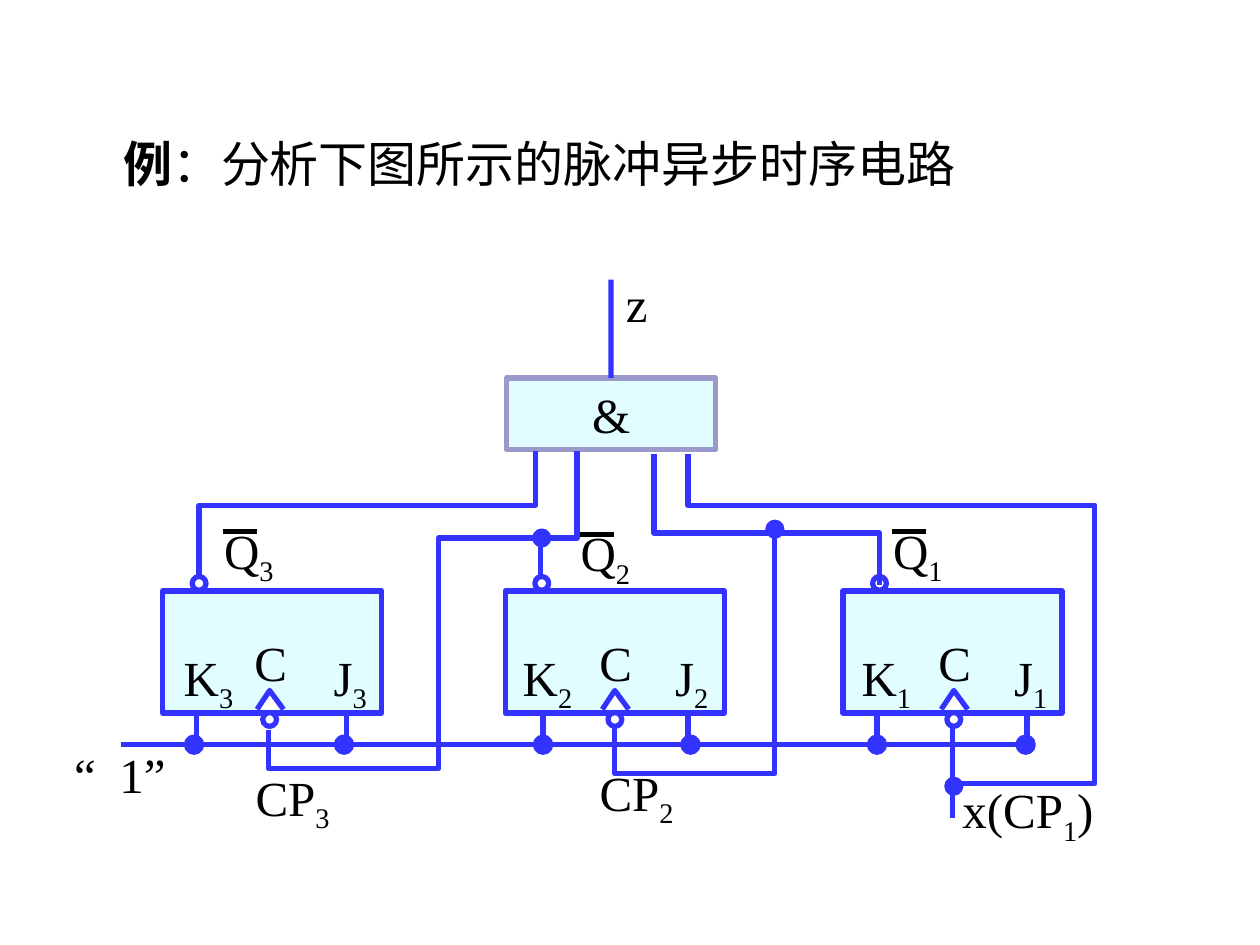
from dataclasses import dataclass

from lxml import etree
from pptx import Presentation
from pptx.dml.color import RGBColor
from pptx.enum import shapes, text
from pptx.oxml.ns import qn
from pptx.util import Inches, Pt


@dataclass(frozen=True)
class Theme:
    """Colours, type and line sizes of the slide."""
    wire: RGBColor = RGBColor(0x33, 0x33, 0xFF)
    block: RGBColor = RGBColor(0xE1, 0xFD, 0xFF)
    gate_edge: RGBColor = RGBColor(0x99, 0x99, 0xCC)
    ink: RGBColor = RGBColor(0, 0, 0)
    paper: RGBColor = RGBColor(0xFF, 0xFF, 0xFF)
    font: str = "Times New Roman"
    size: Pt = Pt(28)
    line: Pt = Pt(3)


@dataclass(frozen=True)
class FlipFlop:
    """Positions in inches that set one flip-flop apart from the others."""
    number: str
    left: float
    clock: float
    k_text: float
    k_pin: float
    j_pin: float
    k_dot: float
    j_dot: float
    q_text: float
    q_top: float


THEME = Theme()
BLOCK_TOP, BLOCK_WIDTH, BLOCK_HEIGHT = 4.69, 1.74, 0.97
BLOCK_BOTTOM = BLOCK_TOP + BLOCK_HEIGHT
RAIL = 5.91
BUBBLE = 0.11
FLIP_FLOPS = (
    FlipFlop("3", 1.29, 2.14, 1.36, 1.56, 2.75, 1.54, 2.73, 1.68, 4.08),
    FlipFlop("2", 4.01, 4.88, 4.05, 4.31, 5.46, 4.31, 5.48, 4.51, 4.10),
    FlipFlop("1", 6.69, 7.57, 6.74, 6.96, 8.15, 6.96, 8.14, 6.99, 4.08),
)
WIRES = (
    [(2.13, 5.79), (2.13, 6.1), (3.48, 6.1), (3.48, 4.27), (4.58, 4.27), (4.58, 3.58)],
    [(4.88, 5.78), (4.88, 6.14), (6.15, 6.14), (6.15, 4.14)],
    [(1.58, 4.58), (1.58, 4.01), (4.25, 4.01), (4.25, 3.58)],
    [(5.46, 3.6), (5.46, 4.01), (8.69, 4.01), (8.69, 6.22), (7.57, 6.22)],
    [(6.98, 4.64), (6.98, 4.23), (5.19, 4.23), (5.19, 3.6)],
)
JUNCTIONS = ((4.3, 4.27), (6.15, 4.2), (7.57, 6.24))


def style_font(font):
    """Give a font the face, size and colour of the slide."""
    font.name, font.size = THEME.font, THEME.size
    font.color.rgb = THEME.ink


def add_label(page, left, top, width, height, *parts, wrap=False, tab=None):
    """Add a text box from (text, style) parts."""
    box = page.shapes.add_textbox(*map(Inches, (left, top, width, height)))
    frame = box.text_frame
    frame.word_wrap = wrap
    frame.auto_size = text.MSO_AUTO_SIZE.SHAPE_TO_FIT_TEXT
    para = frame.paragraphs[0]
    if tab:
        stops = etree.SubElement(para._p.get_or_add_pPr(), qn("a:tabLst"))
        etree.SubElement(stops, qn("a:tab"), pos=str(Inches(tab)), algn="l")
    style_font(para.font)
    for wording, style in parts:
        span = para.add_run()
        span.text = wording
        if style == "sub":
            span._r.get_or_add_rPr().set("baseline", "-25000")
        elif style == "bold":
            span.font.bold = True


def add_shape(page, preset, left, top, width, height, fill, edge):
    """Add a filled and outlined preset shape."""
    shape = page.shapes.add_shape(preset, *map(Inches, (left, top, width, height)))
    paint(shape, fill, edge)
    return shape


def paint(shape, fill, edge):
    """Set fill and outline, without a shadow; no fill when fill is None."""
    shape.shadow.inherit = False
    if fill is None:
        shape.fill.background()
    else:
        shape.fill.solid()
        shape.fill.fore_color.rgb = fill
    shape.line.color.rgb = edge
    shape.line.width = THEME.line


def add_circle(page, x, y, fill, size=BUBBLE):
    """Add a bubble or junction dot centred on a point."""
    add_shape(page, shapes.MSO_SHAPE.OVAL, x - size / 2, y - size / 2, size, size, fill, THEME.wire)


def add_path(page, points, fill=None):
    """Add an open outline through the points."""
    start, *rest = [(Inches(x), Inches(y)) for x, y in points]
    builder = page.shapes.build_freeform(*start)
    builder.add_line_segments(rest, close=False)
    paint(builder.convert_to_shape(), fill, THEME.wire)


def add_line(page, x1, y1, x2, y2, color=THEME.wire):
    """Add a straight line."""
    line = page.shapes.add_connector(
        shapes.MSO_CONNECTOR.STRAIGHT, *map(Inches, (x1, y1, x2, y2)))
    line.line.color.rgb = color
    line.line.width = THEME.line
    etree.SubElement(line._element.spPr, qn("a:effectLst"))
    return line


def add_flip_flop(page, unit):
    """Add a flip-flop with its pins, labels and clock mark."""
    add_shape(page, shapes.MSO_SHAPE.RECTANGLE, unit.left, BLOCK_TOP,
              BLOCK_WIDTH, BLOCK_HEIGHT, THEME.block, THEME.wire)
    subscript = (unit.number, "sub")
    add_label(page, unit.k_text, 5.09, 0.59, 0.63, ("K", None), subscript)
    add_label(page, unit.clock - 0.22, 4.97, 0.46, 0.57, ("C", None))
    add_label(page, unit.j_pin - 0.2, 5.09, 0.5, 0.63, ("J", None), subscript)
    add_label(page, unit.q_text, unit.q_top, 0.59, 0.63, ("Q", None), subscript)
    bar_left, bar_top = unit.q_text + 0.09, unit.q_top + 0.14
    add_line(page, bar_left, bar_top, bar_left + 0.27, bar_top, THEME.ink)
    add_path(page, [(unit.clock - 0.1, 5.63), (unit.clock, 5.48), (unit.clock + 0.11, 5.63)],
             THEME.paper)
    add_circle(page, unit.clock, 5.71, THEME.paper)
    add_circle(page, unit.left + 0.29, 4.63, THEME.paper)
    for pin, dot in ((unit.k_pin, unit.k_dot), (unit.j_pin, unit.j_dot)):
        add_line(page, pin, BLOCK_BOTTOM, pin, RAIL)
        add_circle(page, dot, RAIL, THEME.wire, 0.12)


def add_gate(page):
    """Add the AND gate and its output line."""
    gate = add_shape(page, shapes.MSO_SHAPE.RECTANGLE, 4.02, 3, 1.66, 0.57,
                     THEME.block, THEME.gate_edge)
    para = gate.text_frame.paragraphs[0]
    para.alignment = text.PP_ALIGN.CENTER
    style_font(para.font)
    para.add_run().text = "&"
    output = add_line(page, 4.85, 3, 4.85, 2.22)
    output.begin_connect(gate, 0)


def add_wiring(page):
    """Add the wires between the blocks and their junction dots."""
    for points in WIRES:
        add_path(page, points)
    add_line(page, 7.56, 5.77, 7.56, 6.49)
    add_line(page, 4.29, 4.27, 4.29, 4.58)
    add_line(page, 0.96, RAIL, 8.17, RAIL)
    for x, y in JUNCTIONS:
        add_circle(page, x, y, THEME.wire)


def main():
    """Build the slide and save it."""
    deck = Presentation()
    deck.slide_width, deck.slide_height = Inches(10), Inches(7.5)
    page = deck.slides.add_slide(deck.slide_layouts[6])
    add_label(page, 0.88, 1.01, 6.8, 0.57,
              ("例", "bold"), ("：分析下图所示的脉冲异步时序电路", None))
    for unit in FLIP_FLOPS:
        add_flip_flop(page, unit)
    add_gate(page)
    add_wiring(page)
    add_label(page, 4.87, 2.12, 0.37, 0.57, ("z", None))
    add_label(page, 1.93, 6.04, 0.79, 0.63, ("CP", None), ("3", "sub"))
    add_label(page, 4.66, 6, 0.79, 0.63, ("CP", None), ("2", "sub"))
    add_label(page, 7.54, 6.14, 1.34, 0.63,
              ("x(CP", None), ("1", "sub"), (")", None), wrap=True)
    add_label(page, 0.49, 5.86, 0.93, 0.57, ("“\t1”", None), tab=0.36)
    deck.save("out.pptx")


if __name__ == "__main__":
    main()
